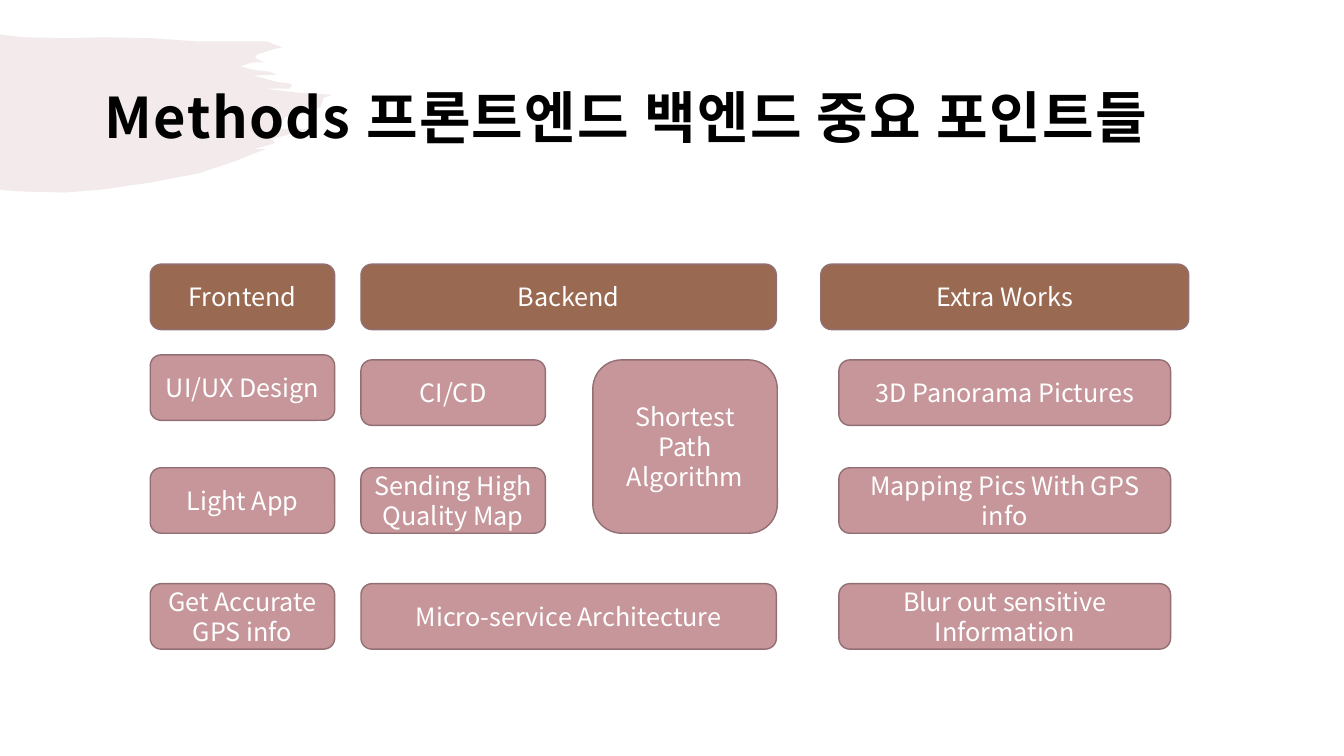
from lxml.etree import SubElement
from pptx import Presentation
from pptx.dml.color import RGBColor
from pptx.enum.shapes import MSO_SHAPE as Shape
from pptx.enum.text import MSO_ANCHOR as Anchor, MSO_AUTO_SIZE as Fit, PP_ALIGN as Align
from pptx.oxml.ns import qn
from pptx.util import Pt

PX = 9144
FONT = "Noto Sans CJK KR"
ROSE, BROWN, EDGE, WHITE, BLACK = "C6969B", "996952", "926F73", "FFFFFF", "000000"
TITLE = "Methods 프론트엔드 백엔드 중요 포인트들"
COLS = {"front": (149, 183), "back": (358, 183), "path": (588, 183),
        "wide": (358, 412), "extra": (832, 329), "head": (814, 365)}
ROWS = [262, 357, 464, 579]
HIGH = 65
HEADS = [("Frontend", "front"), ("Backend", "wide"), ("Extra Works", "head")]
CARDS = [
    ("UI/UX Design", "front", 352, HIGH),
    ("Light App", "front", ROWS[2], HIGH),
    ("Get Accurate\nGPS info", "front", ROWS[3], HIGH),
    ("CI/CD", "back", ROWS[1], HIGH),
    ("Sending High Quality Map", "back", ROWS[2], HIGH),
    ("Shortest Path\nAlgorithm", "path", ROWS[1], ROWS[2] + HIGH - ROWS[1]),
    ("Micro-service Architecture", "wide", ROWS[3], HIGH),
    ("3D Panorama Pictures", "extra", ROWS[1], HIGH),
    ("Mapping Pics With GPS info", "extra", ROWS[2], HIGH),
    ("Blur out sensitive Information", "extra", ROWS[3], HIGH),
]
BRUSH = [
    (0, 34), (6, 35), (25, 37), (66, 38), (102, 37), (151, 38), (194, 41), (248, 41),
    (264, 41), (280, 47), (271, 49), (255, 54), (253, 57), (256, 59), (262, 62),
    (250, 62), (238, 66), (246, 68), (256, 70), (266, 71), (275, 74), (251, 75),
    (263, 78), (273, 81), (280, 82), (288, 83), (290, 85), (287, 88), (284, 88),
    (263, 88), (296, 92), (330, 94), (321, 97), (318, 106), (307, 111), (300, 113),
    (283, 116), (280, 120), (278, 125), (274, 128), (308, 128), (269, 138), (273, 142),
    (252, 148), (263, 148), (233, 160), (197, 172), (150, 181), (102, 188), (65, 191),
    (23, 190), (7, 189), (0, 188),
]


def tint(fill, color):
    """Give a fill one solid colour."""
    fill.solid()
    fill.fore_color.rgb = RGBColor.from_string(color)


def write(para, text, size, color, bold=False):
    """Add text to a paragraph, with a line break at each newline."""
    for i, line in enumerate(text.split("\n")):
        if i:
            para.add_line_break()
        run = para.add_run()
        run.text = line
        font = run.font
        font.size, font.bold, font.name = Pt(size), bold, FONT
        tint(font.fill, color)
        SubElement(run._r.get_or_add_rPr(), qn("a:ea"), typeface=FONT)
    return run


def paint(slide):
    """Draw the pale brush stroke."""
    pen = slide.shapes.build_freeform(*BRUSH[0], scale=PX)
    pen.add_line_segments(BRUSH[1:], close=True)
    brush = pen.convert_to_shape()
    brush.shadow.inherit = False
    brush.line.fill.background()
    tint(brush.fill, ROSE)
    clr = brush._element.spPr.find(qn("a:solidFill"))[0]
    SubElement(clr, qn("a:alpha"), val="20000")


def head(slide):
    """Place the title above the brush stroke."""
    box = slide.shapes.title
    slide.shapes._spTree.append(box._element)
    box.left, box.top, box.width, box.height = [n * PX for n in (92, 40, 1150, 145)]
    frame = box.text_frame
    frame.word_wrap, frame.auto_size = True, Fit.NONE
    frame.vertical_anchor = Anchor.MIDDLE
    frame.margin_left = frame.margin_right = frame.margin_top = 12 * PX
    frame.margin_bottom = 10 * PX
    para = frame.paragraphs[0]
    para.alignment, para.line_spacing = Align.LEFT, 1.05
    run = write(para, TITLE, 40, BLACK, True)
    run._r.get_or_add_rPr().set("spc", "100")


def card(slide, text, col, top, high, color):
    """Draw one rounded card in a column."""
    left, wide = COLS[col]
    box = slide.shapes.add_shape(Shape.FLOWCHART_ALTERNATE_PROCESS,
                                 *[n * PX for n in (left, top, wide, high)])
    box.shadow.inherit = False
    tint(box.fill, color)
    tint(box.line.fill, EDGE)
    box.line.width = Pt(1)
    frame = box.text_frame
    frame.word_wrap, frame.vertical_anchor = True, Anchor.MIDDLE
    para = frame.paragraphs[0]
    para.alignment = Align.CENTER
    write(para, text, 18, WHITE)


def main():
    """Build and save the slide."""
    deck = Presentation()
    deck.slide_width, deck.slide_height = 1333 * PX, 750 * PX
    slide = deck.slides.add_slide(deck.slide_layouts[5])
    tint(slide.background.fill, WHITE)
    paint(slide)
    head(slide)
    for text, col in HEADS:
        card(slide, text, col, ROWS[0], HIGH, BROWN)
    for item in CARDS:
        card(slide, *item, ROSE)
    deck.save("out.pptx")


if __name__ == "__main__":
    main()
